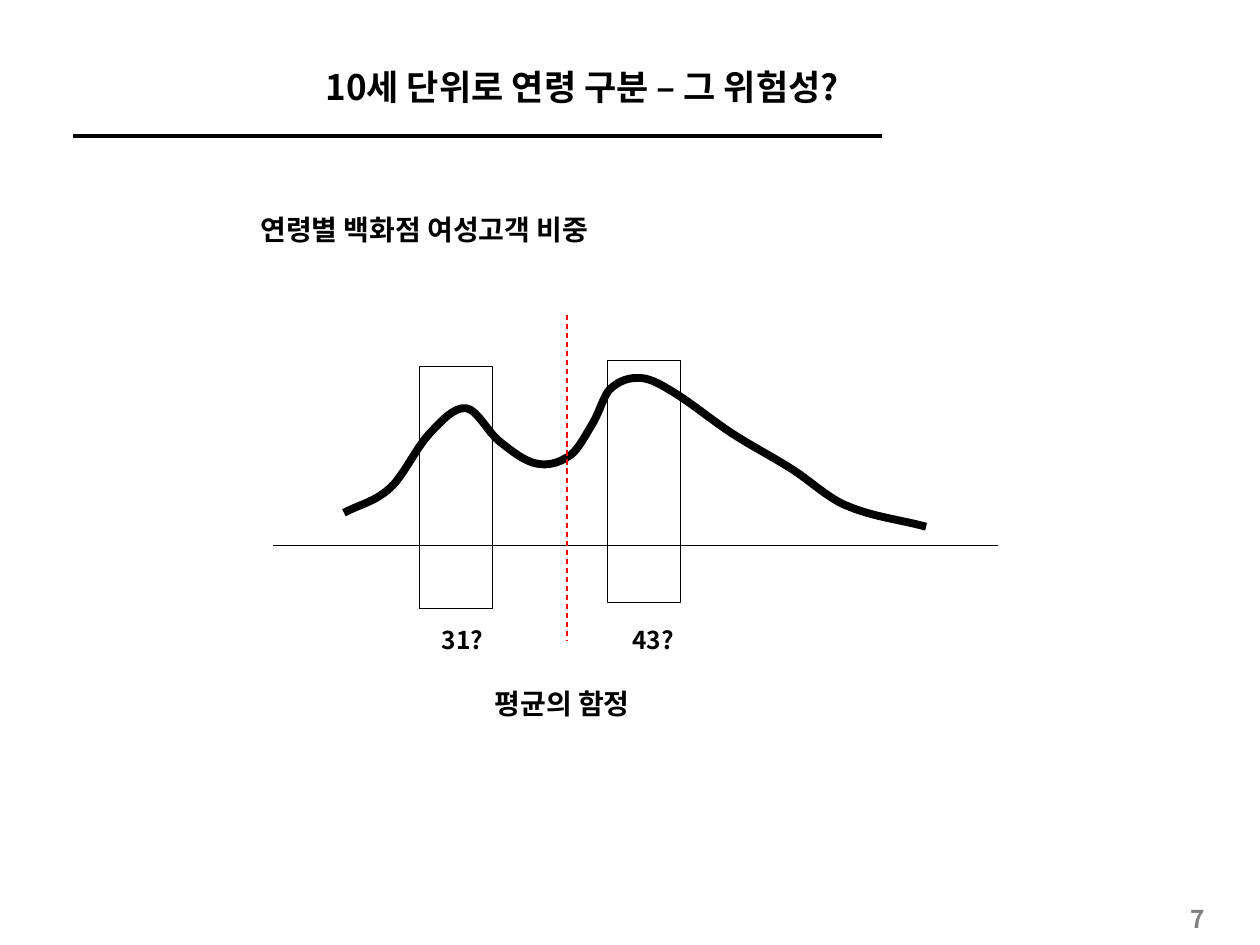
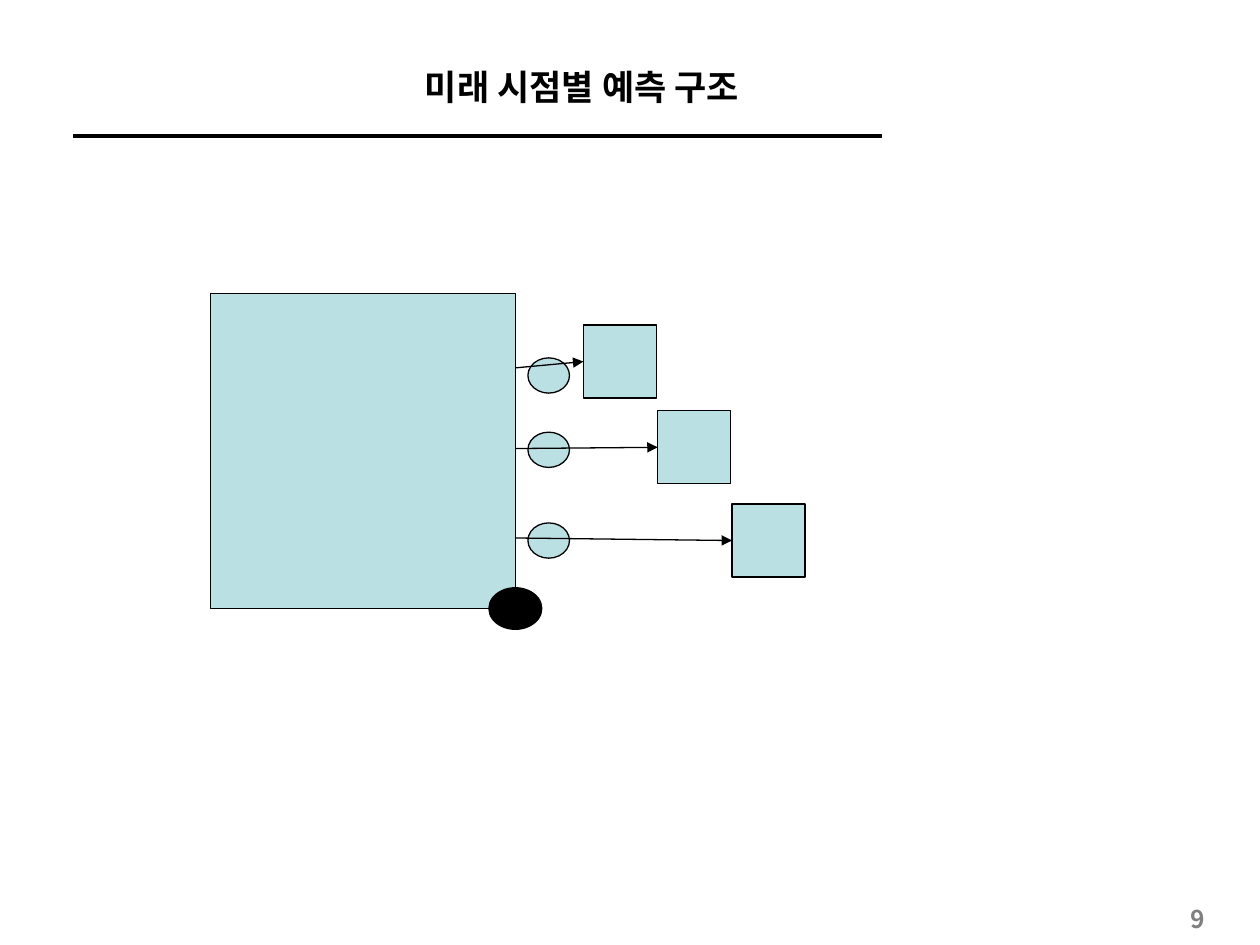
from itertools import pairwise

from lxml import etree
from pptx import Presentation
from pptx.dml.color import RGBColor
from pptx.enum.dml import MSO_LINE
from pptx.enum.shapes import MSO_CONNECTOR, MSO_SHAPE
from pptx.enum.text import MSO_ANCHOR, MSO_AUTO_SIZE, PP_ALIGN
from pptx.oxml.ns import qn
from pptx.util import Inches, Pt

BLACK = RGBColor(0x00, 0x00, 0x00)
GRAY = RGBColor(0x80, 0x80, 0x80)
RED = RGBColor(0xFF, 0x00, 0x00)
TEAL = RGBColor(0xBB, 0xE0, 0xE3)
FONT = "Noto Sans CJK KR"
TITLE, BODY, SMALL = 20, 16, 14
THIN, RULE, THICK = 0.75, 2.25, 4.5
RECT = MSO_SHAPE.RECTANGLE
OVAL = MSO_SHAPE.OVAL
STRAIGHT = MSO_CONNECTOR.STRAIGHT
DASH = MSO_LINE.DASH
LEFT, CENTER, RIGHT = PP_ALIGN.LEFT, PP_ALIGN.CENTER, PP_ALIGN.RIGHT
TOP, MIDDLE = MSO_ANCHOR.TOP, MSO_ANCHOR.MIDDLE
FIT = MSO_AUTO_SIZE.SHAPE_TO_FIT_TEXT


def add_text(slide, text, x, y, w, h, size, color=BLACK, align=LEFT,
             anchor=TOP, wrap=False):
    """Add one line of bold text."""
    box = slide.shapes.add_textbox(Inches(x), Inches(y), Inches(w), Inches(h))
    frame = box.text_frame
    frame.word_wrap = wrap
    frame.vertical_anchor = anchor
    if not wrap:
        frame.auto_size = FIT
    para = frame.paragraphs[0]
    para.alignment = align
    run = para.add_run()
    run.text = text
    font = run.font
    font.name, font.size, font.bold = FONT, Pt(size), True
    font.color.rgb = color
    props = run._r.get_or_add_rPr()
    etree.SubElement(props, qn("a:ea")).set("typeface", FONT)


def add_line(slide, start, end, width=THIN, color=BLACK, dash=None,
             arrow=False):
    """Add a straight line, dashed or with an arrowhead on request."""
    line = slide.shapes.add_connector(
        STRAIGHT, *[Inches(v) for v in (*start, *end)])
    line.line.color.rgb = color
    line.line.width = Pt(width)
    if dash:
        line.line.dash_style = dash
    if arrow:
        tail = etree.SubElement(line.line._get_or_add_ln(), qn("a:tailEnd"))
        tail.set("type", "triangle")
    etree.SubElement(line._element.spPr, qn("a:effectLst"))


def style_shape(shape, fill, width):
    """Give a shape its fill and black outline, without a shadow."""
    shape.shadow.inherit = False
    if fill is None:
        shape.fill.background()
    else:
        shape.fill.solid()
        shape.fill.fore_color.rgb = fill
    shape.line.color.rgb = BLACK
    shape.line.width = Pt(width)


def add_box(slide, kind, x, y, w, h, fill=None):
    """Add a thinly outlined preset shape."""
    box = slide.shapes.add_shape(
        kind, Inches(x), Inches(y), Inches(w), Inches(h))
    style_shape(box, fill, THIN)


def find_slopes(knots):
    """Return the slope at each knot, taken across its neighbours."""
    before = [knots[0], *knots[:-1]]
    after = [*knots[1:], knots[-1]]
    return [(y1 - y0) / (x1 - x0)
            for (x0, y0), (x1, y1) in zip(before, after)]


def smooth_path(knots, steps=8):
    """Return points on the cubic Hermite curve through the knots."""
    points = [knots[0]]
    ends = pairwise(zip(knots, find_slopes(knots)))
    for ((x0, y0), slope0), ((x1, y1), slope1) in ends:
        span = x1 - x0
        for step in range(1, steps + 1):
            t = step / steps
            blend = t * t * (3 - 2 * t)
            bend = t * (1 - t) * ((1 - t) * slope0 - t * slope1)
            points.append((x0 + t * span,
                           y0 + blend * (y1 - y0) + bend * span))
    return points


def add_curve(slide, knots):
    """Add a thick open curve through the knots."""
    spots = [(Inches(x), Inches(y)) for x, y in smooth_path(knots)]
    path = slide.shapes.build_freeform(*spots[0])
    path.add_line_segments(spots[1:], close=False)
    style_shape(path.convert_to_shape(), None, THICK)


def add_slide(deck, title, page):
    """Add a blank slide with its rule, title and page number."""
    slide = deck.slides.add_slide(deck.slide_layouts[6])
    add_line(slide, (0.58, 1.08), (7, 1.08), RULE)
    add_text(slide, title, 0.83, 0.3, 7.58, 0.78, TITLE, align=CENTER,
             anchor=MIDDLE, wrap=True)
    add_text(slide, page, 8.83, 7.17, 0.83, 0.25, SMALL, GRAY, RIGHT, MIDDLE,
             wrap=True)
    return slide


def add_ages(deck):
    """Build the slide on age bands: two peaks and a misleading mean."""
    slide = add_slide(deck, "10세 단위로 연령 구분 – 그 위험성?", "7")
    axis, mean = 4.33, 4.5
    rise = [(2.73, 4.07), (3.1, 3.87), (3.41, 3.44)]
    young = [(3.7, 3.24)]
    dip = [(3.96, 3.5), (4.26, 3.68), (4.53, 3.61), (4.71, 3.35)]
    older = [(4.84, 3.09), (5.08, 3), (5.34, 3.11)]
    fall = [(5.81, 3.44), (6.28, 3.72), (6.71, 4.01), (7.35, 4.18)]
    add_line(slide, (2.17, axis), (7.92, axis))
    add_curve(slide, rise + young + dip + older + fall)
    bands = (("43?", 4.82, 2.86, 4.92), ("31?", 3.33, 2.91, 3.41))
    for age, left, top, label in bands:
        add_box(slide, RECT, left, top, 0.58, 1.92)
        add_text(slide, age, label, 4.91, 0.53, 0.34, SMALL)
    add_text(slide, "평균의 함정", 3.83, 5.4, 1.38, 0.37, BODY)
    add_line(slide, (mean, 2.5), (mean, 5.08), color=RED, dash=DASH)
    add_text(slide, "연령별 백화점 여성고객 비중", 1.97, 1.64, 3.07, 0.37,
             BODY)


def add_model(deck):
    """Build the slide on forecasts: one base, three later points in time."""
    slide = add_slide(deck, "미래 시점별 예측 구조", "9")
    left, top, width, height = 1.67, 2.33, 2.42, 2.5
    edge, base = left + width, top + height
    add_box(slide, RECT, left, top, width, height, TEAL)
    wide, tall = 0.42, 0.33
    add_box(slide, OVAL, edge - wide / 2, base - tall / 2, wide, tall, BLACK)
    side, first, shift = 0.58, 4.63, 0.59
    rows = ((2.58, 2.84, 2.92), (3.26, 3.43, 3.56), (4, 4.15, 4.27))
    for step, (box, dot, start) in enumerate(rows):
        x = first + step * shift
        add_box(slide, RECT, x, box, side, side, TEAL)
        add_box(slide, OVAL, 4.19, dot, 0.33, 0.28, TEAL)
        add_line(slide, (edge, start), (x, box + side / 2), arrow=True)


def main():
    """Build and save the deck."""
    deck = Presentation()
    deck.slide_width, deck.slide_height = Inches(10), Inches(7.5)
    add_ages(deck)
    add_model(deck)
    deck.save("out.pptx")


main()
